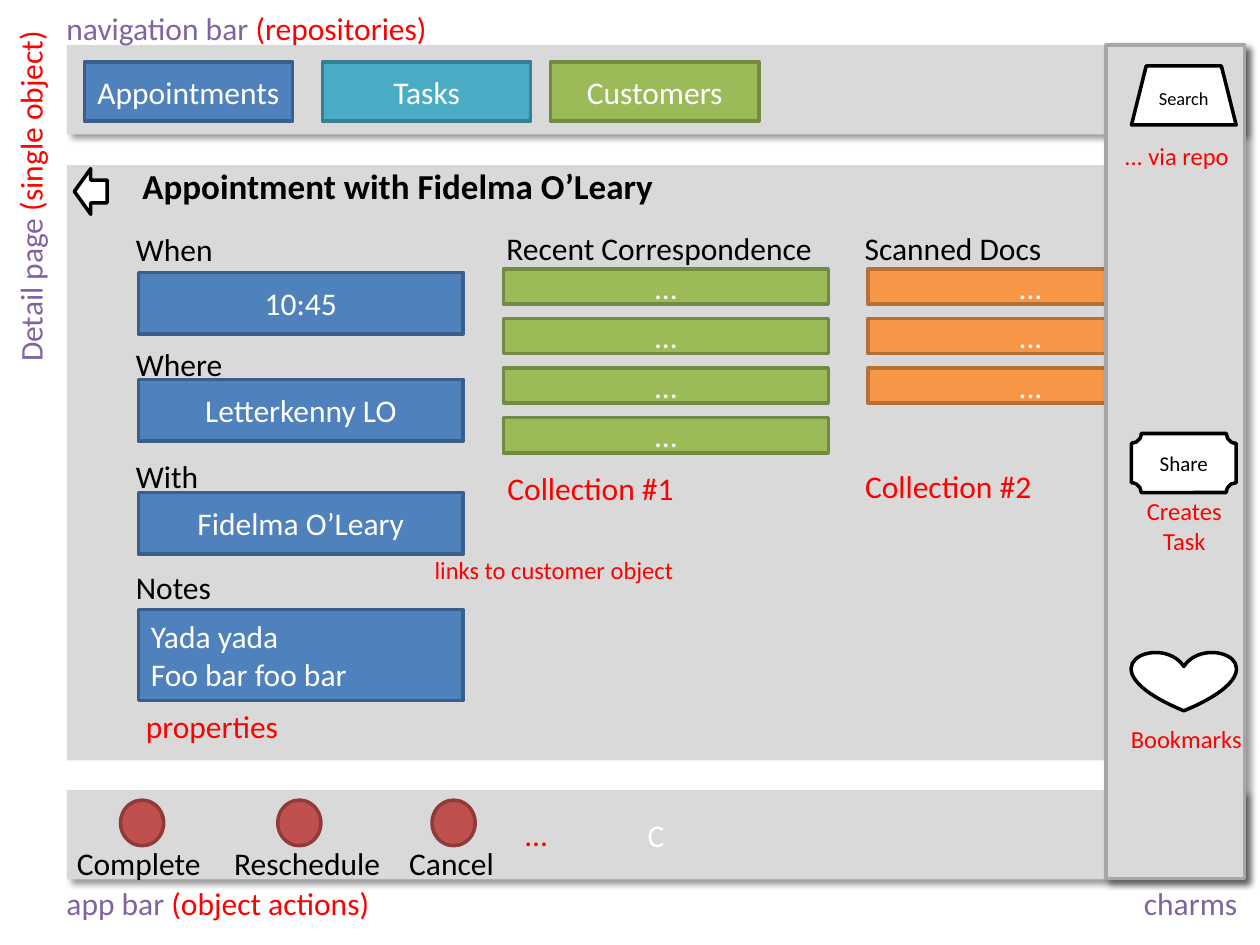
from lxml import etree
from pptx import Presentation
from pptx.dml.color import RGBColor
from pptx.enum.shapes import MSO_SHAPE as Preset
from pptx.enum.text import MSO_ANCHOR as Anchor, MSO_AUTO_SIZE as AutoSize, PP_ALIGN as Align
from pptx.oxml import parse_xml
from pptx.util import Cm, Pt

BLACK = RGBColor(0x00, 0x00, 0x00)
WHITE = RGBColor(0xFF, 0xFF, 0xFF)
PANEL = RGBColor(0xD9, 0xD9, 0xD9)
PANEL_EDGE = RGBColor(0xA6, 0xA6, 0xA6)
PURPLE = RGBColor(0x80, 0x64, 0xA2)
NOTE_RED = RGBColor(0xFF, 0x00, 0x00)
BLUE = (RGBColor(0x4F, 0x81, 0xBD), RGBColor(0x3A, 0x5F, 0x8C))
TEAL = (RGBColor(0x4B, 0xAC, 0xC6), RGBColor(0x37, 0x7F, 0x92))
GREEN = (RGBColor(0x9B, 0xBB, 0x59), RGBColor(0x73, 0x8A, 0x42))
ORANGE = (RGBColor(0xF7, 0x96, 0x46), RGBColor(0xB7, 0x6F, 0x34))
RED = (RGBColor(0xC0, 0x50, 0x4D), RGBColor(0x8E, 0x3B, 0x39))
OUTLINE = (WHITE, BLACK)
FLAT = (PANEL, None)

SHADOW = (
    '<a:effectLst xmlns:a="http://schemas.openxmlformats.org/drawingml/2006/main">'
    '<a:outerShdw blurRad="50800" dist="38100" dir="2700000" algn="tl" rotWithShape="0">'
    '<a:srgbClr val="000000"><a:alpha val="40000"/></a:srgbClr>'
    '</a:outerShdw></a:effectLst>'
)


def write(frame, text, size=18, color=WHITE, align=Align.CENTER, bold=False, font="Calibri"):
    """Fill a frame; text is a string or a list of (words, colour) spans."""
    spans = [(text, color)] if isinstance(text, str) else text
    para = frame.paragraphs[0]
    para.alignment = align
    for words, tint in spans:
        for number, line in enumerate(words.split("\n")):
            if number:
                para.add_line_break()
            span = para.add_run()
            span.text = line
            span.font.name, span.font.size = font, Pt(size)
            span.font.bold = bold
            span.font.color.rgb = tint


class Sketch:
    """Draws the elements of a screen sketch on one page."""

    def __init__(self, page):
        """Keep the page to draw on."""
        self.shapes = page.shapes

    def shape(self, left, top, width, height, style, text="", preset=Preset.RECTANGLE,
              shadow=False, **fmt):
        """Add a preset shape with a (fill, line) style and optional text."""
        box = self.shapes.add_shape(preset, Cm(left), Cm(top), Cm(width), Cm(height))
        fill, line = style
        box.fill.solid()
        box.fill.fore_color.rgb = fill
        if line is None:
            box.line.fill.background()
        else:
            box.line.color.rgb = line
            box.line.width = Pt(2)
        box.shadow.inherit = False
        if shadow:
            properties = box.fill._xPr
            empty = properties.find("{*}effectLst")
            properties.replace(empty, parse_xml(SHADOW))
        box.text_frame.vertical_anchor = Anchor.MIDDLE
        if text:
            write(box.text_frame, text, **fmt)
        return box

    def label(self, left, top, width, text, height=1.02, rotation=0,
              color=BLACK, align=Align.LEFT, **fmt):
        """Add a free line of text that does not wrap."""
        box = self.shapes.add_textbox(Cm(left), Cm(top), Cm(width), Cm(height))
        box.rotation = rotation
        box.text_frame.word_wrap = False
        box.text_frame.auto_size = AutoSize.SHAPE_TO_FIT_TEXT
        write(box.text_frame, text, color=color, align=align, **fmt)

    def note(self, left, top, width, text, **fmt):
        """Add a red remark."""
        self.label(left, top, width, text, color=NOTE_RED, **fmt)

    def field(self, name, name_top, name_width, value, top, height=1.24, **fmt):
        """Add a property: its name and its value box."""
        self.shape(2.79, top, 6.55, height, BLUE, value, **fmt)
        self.label(2.49, name_top, name_width, name)

    def collection(self, left, count, style):
        """Add a column of equal rows."""
        for row in range(count):
            self.shape(left, 5.42 + row, 6.55, 0.71, style, "...")


def draw_detail(sketch):
    """Draw the detail page with its properties and collections."""
    sketch.shape(1.35, 3.33, 23.75, 12, FLAT)
    sketch.label(2.62, 3.2, 10.9, "Appointment with Fidelma O’Leary",
                 height=1.12, size=20, bold=True)
    sketch.shape(1.5, 3.4, 0.66, 0.92, OUTLINE, preset=Preset.LEFT_ARROW)
    sketch.field("When", 4.52, 2.08, "10:45", 5.49)
    sketch.field("Where", 6.83, 2.29, "Letterkenny LO", 7.65)
    sketch.field("With", 9.09, 1.78, "Fidelma O’Leary", 9.93)
    sketch.field("Notes", 11.33, 2.03, "Yada yada\nFoo bar foo bar", 12.29,
                 height=1.83, align=Align.LEFT)
    sketch.note(2.69, 14.12, 3.23, "properties")
    sketch.note(8.51, 11.07, 5.36, "links to customer object", height=0.86, size=14)

    sketch.label(9.96, 4.5, 6.76, "Recent Correspondence")
    sketch.collection(10.15, 4, GREEN)
    sketch.note(9.98, 9.33, 3.91, "Collection #1")
    sketch.label(17.18, 4.5, 4.11, "Scanned Docs")
    sketch.collection(17.5, 3, ORANGE)
    sketch.note(17.19, 9.29, 3.91, "Collection #2")


def draw_bars(sketch):
    """Draw the navigation bar and the app bar."""
    sketch.shape(1.35, 0.91, 23.75, 1.8, FLAT, shadow=True)
    sketch.label(1.09, 0.05, 7.87, [("navigation bar", PURPLE), (" (repositories)", NOTE_RED)])
    for left, name, style in ((1.7, "Appointments", BLUE), (6.5, "Tasks", TEAL),
                              (11.1, "Customers", GREEN)):
        sketch.shape(left, 1.25, 4.2, 1.19, style, name)

    sketch.shape(1.35, 15.93, 23.75, 1.8, FLAT, "C", shadow=True)
    for left, name_left, width, name in ((2.43, 1.3, 3.05, "Complete"),
                                         (5.6, 4.47, 3.51, "Reschedule"),
                                         (8.71, 8, 2.24, "Cancel")):
        sketch.shape(left, 16.13, 0.87, 0.92, RED, preset=Preset.OVAL)
        sketch.label(name_left, 16.89, width, name)
    sketch.note(10.32, 16.31, 0.99, "...")
    sketch.label(1.09, 17.7, 6.71, [("app bar", PURPLE), (" (object actions)", NOTE_RED)])


def draw_charms(sketch):
    """Draw the charms panel with its three icons."""
    sketch.shape(22.3, 0.91, 2.79, 16.8, (PANEL, PANEL_EDGE), shadow=True)
    sketch.label(22.81, 17.7, 2.41, "charms", color=PURPLE)
    for top, preset, name, size in ((1.33, Preset.TRAPEZOID, "Search", 10.5),
                                    (8.74, Preset.PLAQUE, "Share", 12),
                                    (13.14, Preset.HEART, "", 12)):
        sketch.shape(22.81, top, 2.11, 1.19, OUTLINE, name, preset=preset,
                     size=size, color=BLACK)
    for left, top, width, height, text in ((22.4, 2.72, 2.64, 0.86, "... via repo"),
                                           (22.86, 9.88, 2.03, 1.45, "Creates\nTask"),
                                           (22.53, 14.48, 2.77, 0.86, "Bookmarks")):
        sketch.note(left, top, width, text, height=height, size=14, align=Align.CENTER)


deck = Presentation()
deck.slide_width, deck.slide_height = Cm(25.4), Cm(19.05)
sketch = Sketch(deck.slides.add_slide(deck.slide_layouts[6]))
draw_detail(sketch)
draw_bars(sketch)
draw_charms(sketch)
sketch.label(-3.02, 3.45, 7.26, [("Detail page ", PURPLE), ("(single object)", NOTE_RED)],
             rotation=270, align=Align.CENTER)
deck.save("out.pptx")
